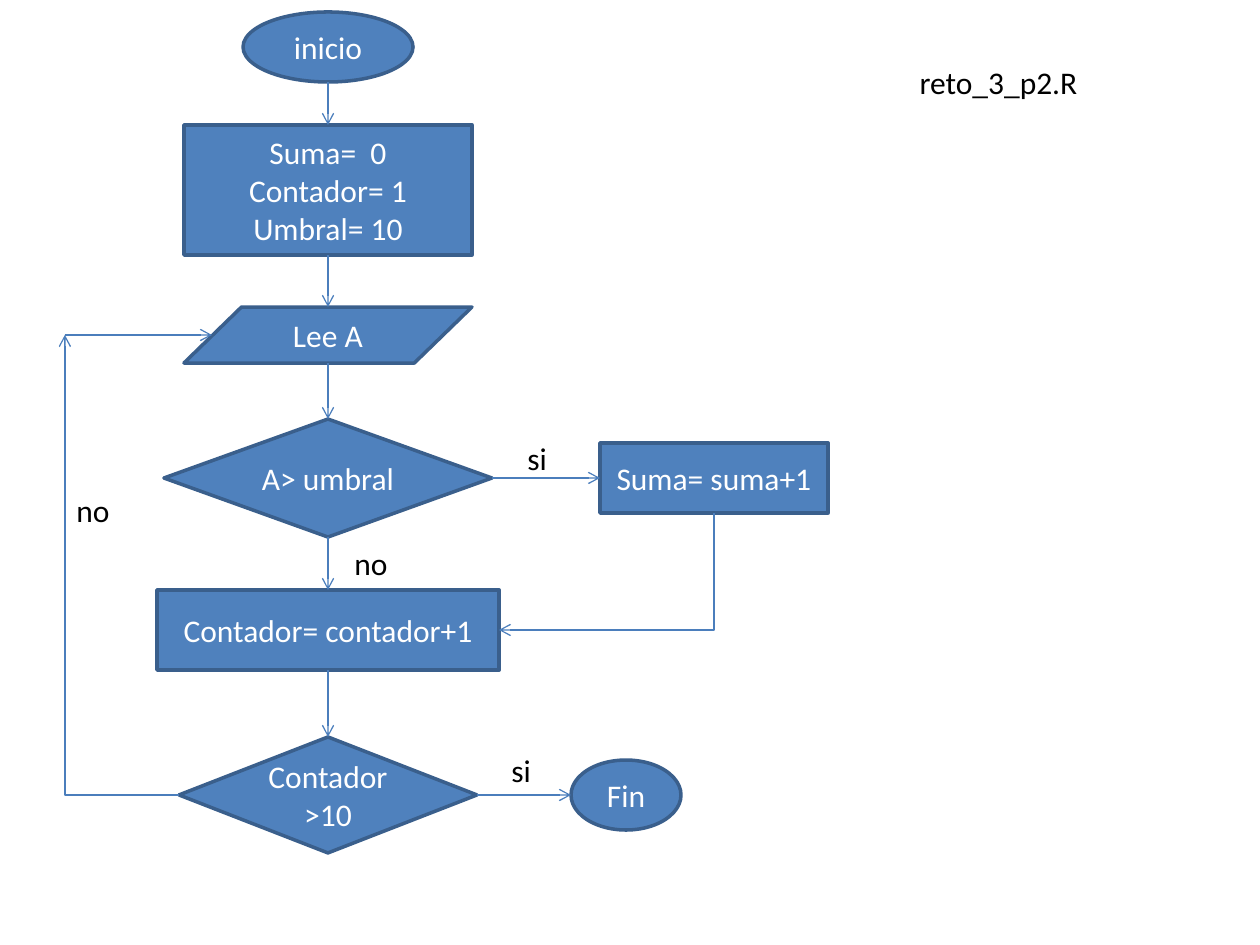
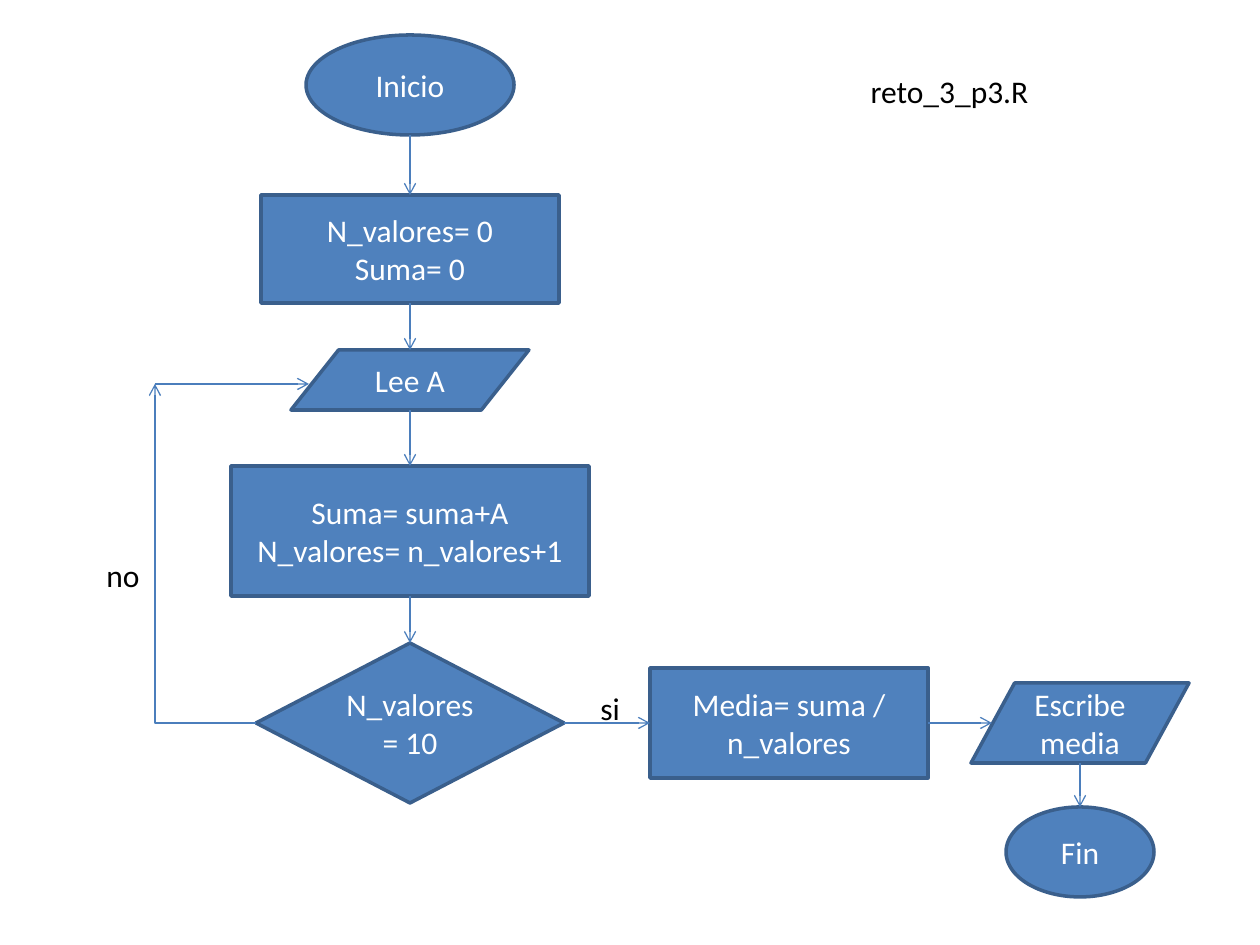
from dataclasses import dataclass
from itertools import pairwise

from lxml.etree import SubElement
from pptx import Presentation
from pptx.dml.color import RGBColor
from pptx.enum.shapes import MSO_CONNECTOR as Route, MSO_SHAPE as Shape
from pptx.enum.text import MSO_ANCHOR as Anchor, MSO_AUTO_SIZE as AutoSize, PP_ALIGN as Align
from pptx.oxml.ns import qn
from pptx.util import Emu, Pt

PX = 914400 / 126


@dataclass(frozen=True)
class Theme:
    fill: RGBColor = RGBColor(0x4F, 0x81, 0xBD)
    outline: RGBColor = RGBColor(0x3A, 0x5F, 0x8C)
    arrow: RGBColor = RGBColor(0x4B, 0x7E, 0xBC)
    light: RGBColor = RGBColor(0xFF, 0xFF, 0xFF)
    dark: RGBColor = RGBColor(0x00, 0x00, 0x00)
    font: str = "Calibri"
    size: Pt = Pt(18)
    outline_width: Pt = Pt(2)
    arrow_width: Pt = Pt(0.75)


@dataclass(frozen=True)
class Step:
    shape: Shape
    text: str
    x: int
    y: int
    width: int
    height: int

    @property
    def top(self):
        return self.y - self.height // 2

    @property
    def bottom(self):
        return self.y + self.height // 2

    @property
    def left(self):
        return self.x - self.width // 2

    @property
    def right(self):
        return self.x + self.width // 2

    @property
    def entry(self):
        slant = self.width // 10 if self.shape == Shape.FLOWCHART_DATA else 0
        return self.left + slant


def write(frame, text, color, align):
    frame.word_wrap = True
    frame.text = text
    for paragraph in frame.paragraphs:
        paragraph.alignment = align
        paragraph.font.name = theme.font
        paragraph.font.size = theme.size
        paragraph.font.color.rgb = color


def connect(slide, begin, end, arrow_end="tailEnd", route=Route.STRAIGHT):
    link = slide.shapes.add_connector(route, *(Emu(round(v * PX)) for v in (*begin, *end)))
    link.line.color.rgb = theme.arrow
    link.line.width = theme.arrow_width
    properties = link._element.spPr
    if route == Route.ELBOW:
        properties.find(qn("a:prstGeom")).set("prst", "bentConnector2")
    SubElement(properties.find(qn("a:ln")), qn("a:" + arrow_end), type="arrow")
    SubElement(properties, qn("a:effectLst"))


theme = Theme()

start_sum = Step(Shape.OVAL, "inicio", 328, 47, 170, 70)
init_sum = Step(Shape.RECTANGLE, "Suma=  0\nContador= 1\nUmbral= 10", 328, 190, 288, 130)
read_sum = Step(Shape.FLOWCHART_DATA, "Lee A", 328, 335, 288, 56)
above = Step(Shape.FLOWCHART_DECISION, "A> umbral", 328, 478, 328, 118)
count = Step(Shape.FLOWCHART_PROCESS, "Contador= contador+1", 328, 630, 342, 80)
counted = Step(Shape.FLOWCHART_DECISION, "Contador>10", 328, 795, 298, 116)
add_one = Step(Shape.FLOWCHART_PROCESS, "Suma= suma+1", 714, 478, 228, 70)
end_sum = Step(Shape.OVAL, "Fin", 626, 795, 110, 70)

start_mean = Step(Shape.OVAL, "Inicio", 410, 85, 208, 100)
init_mean = Step(Shape.FLOWCHART_PROCESS, "N_valores= 0\nSuma= 0", 410, 249, 298, 108)
read_mean = Step(Shape.FLOWCHART_DATA, "Lee A", 410, 380, 238, 60)
accumulate = Step(Shape.RECTANGLE, "Suma= suma+A\nN_valores= n_valores+1", 410, 531, 358, 130)
complete = Step(Shape.FLOWCHART_DECISION, "N_valores = 10", 410, 723, 308, 160)
mean = Step(Shape.FLOWCHART_PROCESS, "Media= suma / n_valores", 789, 723, 278, 110)
show_mean = Step(Shape.FLOWCHART_DATA, "Escribe media", 1080, 723, 218, 80)
end_mean = Step(Shape.OVAL, "Fin", 1080, 852, 148, 90)

flowcharts = [
    {
        "title": ("reto_3_p2.R", 907, 57, 238),
        "columns": [[start_sum, init_sum, read_sum, above, count, counted], [add_one], [end_sum]],
        "rows": [(above, add_one), (counted, end_sum)],
        "merges": [(add_one, count)],
        "loop": (counted, (65, 335), (212, 335)),
        "answers": [("si", 515, 433, 60), ("no", 342, 538, 70), ("si", 499, 745, 80), ("no", 64, 485, 74)],
    },
    {
        "title": ("reto_3_p3.R", 858, 66, 332),
        "columns": [[start_mean, init_mean, read_mean, accumulate, complete], [mean], [show_mean, end_mean]],
        "rows": [(complete, mean), (mean, show_mean)],
        "merges": [],
        "loop": (complete, (155, 384), (309, 384)),
        "answers": [("no", 94, 550, 60), ("si", 588, 683, 62)],
    },
]

deck = Presentation()
deck.slide_width = Emu(round(1260 * PX))
deck.slide_height = Emu(round(945 * PX))

for chart in flowcharts:
    slide = deck.slides.add_slide(deck.slide_layouts[5])

    name, left, top, width = chart["title"]
    title = slide.shapes.title
    title.left, title.top, title.width, title.height = (Emu(round(v * PX)) for v in (left, top, width, 50))
    title.text_frame.auto_size = AutoSize.NONE
    title.text_frame.vertical_anchor = Anchor.TOP
    write(title.text_frame, name, theme.dark, Align.LEFT)

    for column in chart["columns"]:
        for step in column:
            box = (step.left, step.top, step.width, step.height)
            node = slide.shapes.add_shape(step.shape, *(Emu(round(v * PX)) for v in box))
            node.shadow.inherit = False
            node.fill.solid()
            node.fill.fore_color.rgb = theme.fill
            node.line.color.rgb = theme.outline
            node.line.width = theme.outline_width
            node.text_frame.vertical_anchor = Anchor.MIDDLE
            write(node.text_frame, step.text, theme.light, Align.CENTER)
        for upper, lower in pairwise(column):
            connect(slide, (upper.x, upper.bottom), (lower.x, lower.top))

    for source, target in chart["rows"]:
        connect(slide, (source.right, source.y), (target.entry, target.y))
    for source, target in chart["merges"]:
        connect(slide, (target.right, target.y), (source.x, source.bottom), "headEnd", Route.ELBOW)

    decision, corner, entry = chart["loop"]
    connect(slide, (decision.left, decision.y), corner, route=Route.ELBOW)
    connect(slide, corner, entry)

    for answer, left, top, width in chart["answers"]:
        label = slide.shapes.add_textbox(*(Emu(round(v * PX)) for v in (left, top, width, 50)))
        write(label.text_frame, answer, theme.dark, Align.LEFT)

deck.save("out.pptx")
